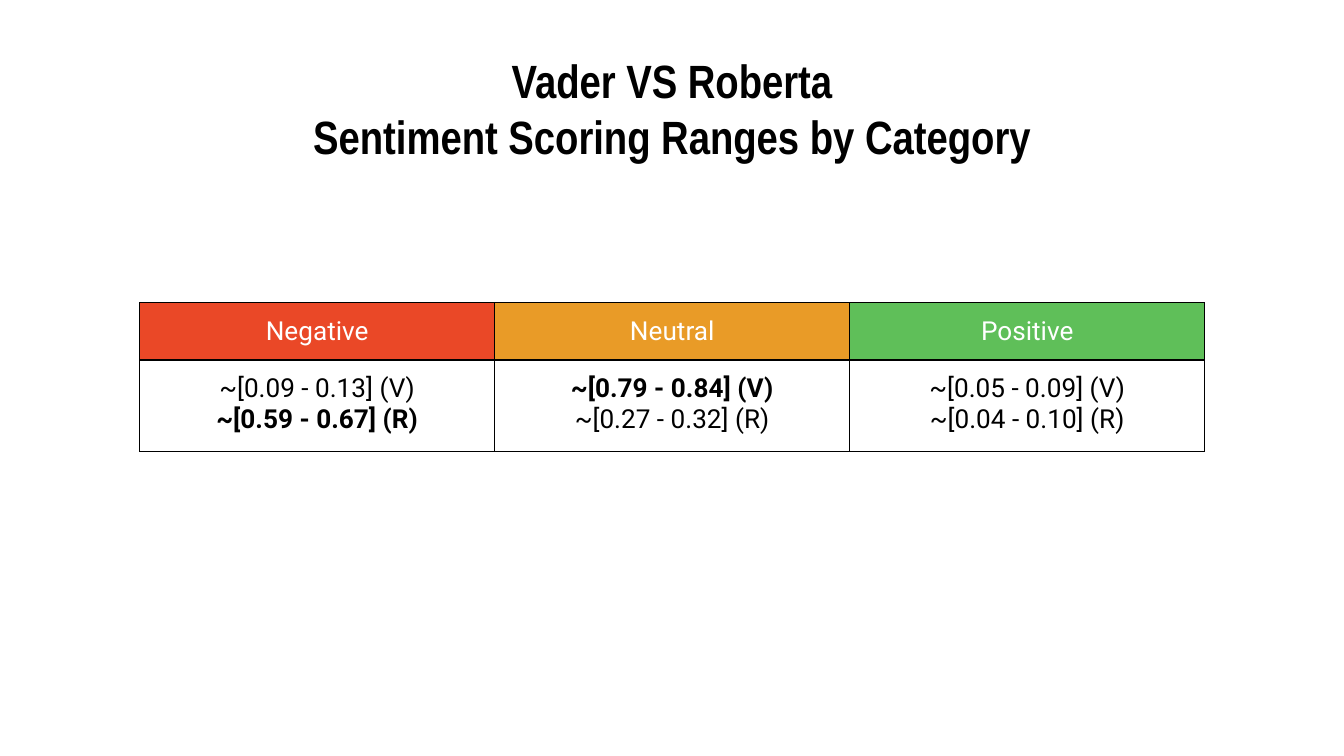
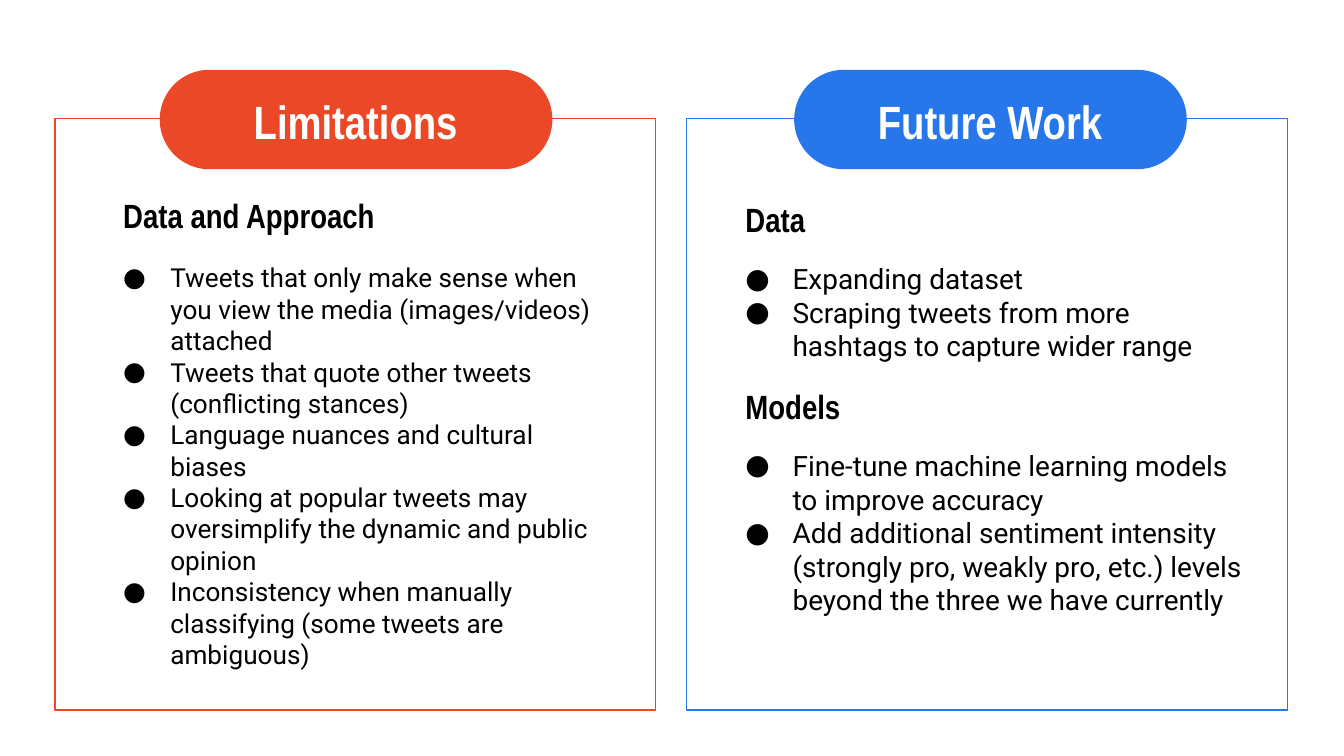
"""Build the sentiment scoring and the limitations and future work slides."""
from dataclasses import dataclass

import lxml.etree
import pptx
import pptx.dml.color
import pptx.enum.shapes
import pptx.enum.text
import pptx.oxml.ns
import pptx.util

Cm = pptx.util.Cm
Pt = pptx.util.Pt
ALIGN = pptx.enum.text.PP_ALIGN
ANCHOR = pptx.enum.text.MSO_ANCHOR
SHAPE = pptx.enum.shapes.MSO_SHAPE
qn = pptx.oxml.ns.qn

COLORS = {
    "black": "000000",
    "white": "FFFFFF",
    "red": "EA4827",
    "orange": "E99B27",
    "green": "5FBF59",
    "blue": "2776EA",
}
TITLE = {"name": "Arial Narrow", "size": Pt(25), "bold": True}
HEADING = {**TITLE, "size": Pt(18)}
BODY = {"name": "Roboto", "size": Pt(14), "bold": False}
LARGE_BODY = {**BODY, "size": Pt(15)}
STRONG = {**BODY, "bold": True}
INSET = Cm(0.25)
MARGINS = dict.fromkeys(("margin_left", "margin_right", "margin_top", "margin_bottom"), INSET)
HANGING = Cm(0.89)


@dataclass(frozen=True)
class Box:
    left: float
    top: float
    width: float
    height: float

    def lengths(self) -> tuple:
        return Cm(self.left), Cm(self.top), Cm(self.width), Cm(self.height)


@dataclass(frozen=True)
class Category:
    name: str
    color: str
    vader: str
    roberta: str
    stronger: str = ""


@dataclass(frozen=True)
class Section:
    heading: str
    heading_box: Box
    items: list[str]
    items_box: Box
    style: dict


@dataclass(frozen=True)
class Panel:
    title: str
    color: str
    left: float
    pill_left: float
    sections: list[Section]


CATEGORIES = [
    Category("Negative", "red", "~[0.09 - 0.13] (V)", "~[0.59 - 0.67] (R)", "roberta"),
    Category("Neutral", "orange", "~[0.79 - 0.84] (V)", "~[0.27 - 0.32] (R)", "vader"),
    Category("Positive", "green", "~[0.05 - 0.09] (V)", "~[0.04 - 0.10] (R)"),
]

PANELS = [
    Panel("Limitations", "red", 1.04, 3.02, [
        Section("Data and Approach", Box(2.08, 3.51, 6.35, 1.12), [
            "Tweets that only make sense when you view the media (images/videos) attached",
            "Tweets that quote other tweets (conflicting stances)",
            "Language nuances and cultural biases",
            "Looking at popular tweets may oversimplify the dynamic and public opinion",
            "Inconsistency when manually classifying (some tweets are ambiguous)",
        ], Box(2.08, 4.7, 9.4, 8.05), BODY),
    ]),
    Panel("Future Work", "blue", 12.98, 15.01, [
        Section("Data", Box(13.84, 3.58, 5.87, 1.12), [
            "Expanding dataset",
            "Scraping tweets from more hashtags to capture wider range",
        ], Box(13.84, 4.7, 9.4, 3.78), LARGE_BODY),
        Section("Models", Box(13.84, 7.11, 5.87, 1.12), [
            "Fine-tune machine learning models to improve accuracy",
            "Add additional sentiment intensity (strongly pro, weakly pro, etc.) levels "
            "beyond the three we have currently",
        ], Box(13.84, 8.23, 10.08, 3.78), LARGE_BODY),
    ]),
]


def rgb(color: str) -> pptx.dml.color.RGBColor:
    return pptx.dml.color.RGBColor.from_string(COLORS[color])


def apply(target: object, values: dict) -> None:
    for name, value in values.items():
        setattr(target, name, value)


def add_color(parent: lxml.etree._Element, color: str) -> None:
    fill = lxml.etree.SubElement(parent, qn("a:solidFill"))
    lxml.etree.SubElement(fill, qn("a:srgbClr"), val=COLORS[color])


def add_bullet(paragraph: object) -> None:
    properties = paragraph._p.get_or_add_pPr()
    properties.set("marL", str(HANGING))
    properties.set("indent", str(-HANGING))
    bullet_color = lxml.etree.SubElement(properties, qn("a:buClr"))
    lxml.etree.SubElement(bullet_color, qn("a:srgbClr"), val=COLORS["black"])
    lxml.etree.SubElement(properties, qn("a:buFont"), typeface="Roboto")
    lxml.etree.SubElement(properties, qn("a:buChar"), char="●")


def write(frame: object, lines: list[tuple[str, dict]], color: str = "black",
          alignment: ALIGN = ALIGN.LEFT, bullets: bool = False) -> None:
    for index, (text, style) in enumerate(lines):
        paragraph = frame.add_paragraph() if index else frame.paragraphs[0]
        paragraph.alignment = alignment
        if bullets:
            add_bullet(paragraph)
        run = paragraph.add_run()
        run.text = text
        apply(run.font, style)
        run.font.color.rgb = rgb(color)


def add_text(slide: object, box: Box, lines: list[str], style: dict, color: str = "black",
             alignment: ALIGN = ALIGN.LEFT, bullets: bool = False) -> None:
    frame = slide.shapes.add_textbox(*box.lengths()).text_frame
    anchor = ANCHOR.TOP if bullets else ANCHOR.MIDDLE
    apply(frame, {**MARGINS, "word_wrap": True, "vertical_anchor": anchor})
    write(frame, [(line, style) for line in lines], color, alignment, bullets)


def add_block(slide: object, kind: SHAPE, box: Box, fill: str, line: str) -> object:
    shape = slide.shapes.add_shape(kind, *box.lengths())
    shape.shadow.inherit = False
    shape.fill.solid()
    shape.fill.fore_color.rgb = rgb(fill)
    shape.line.color.rgb = rgb(line)
    shape.line.width = Pt(0.75)
    return shape


def fill_cell(cell: object, lines: list[tuple[str, dict]], fill: str, color: str) -> None:
    apply(cell, MARGINS)
    write(cell.text_frame, lines, color, ALIGN.CENTER)
    properties = cell._tc.get_or_add_tcPr()
    for side in ("a:lnL", "a:lnR", "a:lnT", "a:lnB"):
        add_color(lxml.etree.SubElement(properties, qn(side), w=str(Pt(0.75))), "black")
    cell.fill.solid()
    cell.fill.fore_color.rgb = rgb(fill)


def build_scoring(slide: object) -> None:
    box = Box(2.64, 5.72, 20.13, 2.8)
    table = slide.shapes.add_table(2, len(CATEGORIES), *box.lengths()).table
    for row, height in zip(table.rows, (1.07, 1.73)):
        row.height = Cm(height)
    for index, category in enumerate(CATEGORIES):
        table.columns[index].width = Cm(6.71)
        fill_cell(table.cell(0, index), [(category.name, BODY)], category.color, "white")
        scores = [(getattr(category, model), STRONG if model == category.stronger else BODY)
                  for model in ("vader", "roberta")]
        fill_cell(table.cell(1, index), scores, "white", "black")
    add_text(slide, Box(1.27, 1.14, 22.86, 1.8),
             ["Vader VS Roberta", "Sentiment Scoring Ranges by Category"],
             TITLE, alignment=ALIGN.CENTER)


def build_panel(slide: object, panel: Panel) -> None:
    add_block(slide, SHAPE.RECTANGLE, Box(panel.left, 2.24, 11.35, 11.18), "white", panel.color)
    pill = add_block(slide, SHAPE.ROUNDED_RECTANGLE, Box(panel.pill_left, 1.32, 7.42, 1.88),
                     panel.color, panel.color)
    pill.adjustments[0] = 0.5
    pill.line.fill.background()
    add_text(slide, Box(panel.pill_left + 0.59, 1.73, 6.22, 1.12), [panel.title],
             TITLE, "white", ALIGN.CENTER)
    for section in panel.sections:
        add_text(slide, section.heading_box, [section.heading], HEADING)
        add_text(slide, section.items_box, section.items, section.style, bullets=True)


def main() -> None:
    presentation = pptx.Presentation()
    apply(presentation, {"slide_width": Cm(25.4), "slide_height": Cm(14.29)})
    blank = presentation.slide_layouts[6]
    build_scoring(presentation.slides.add_slide(blank))
    outlook = presentation.slides.add_slide(blank)
    for panel in PANELS:
        build_panel(outlook, panel)
    presentation.save("out.pptx")


if __name__ == "__main__":
    main()
